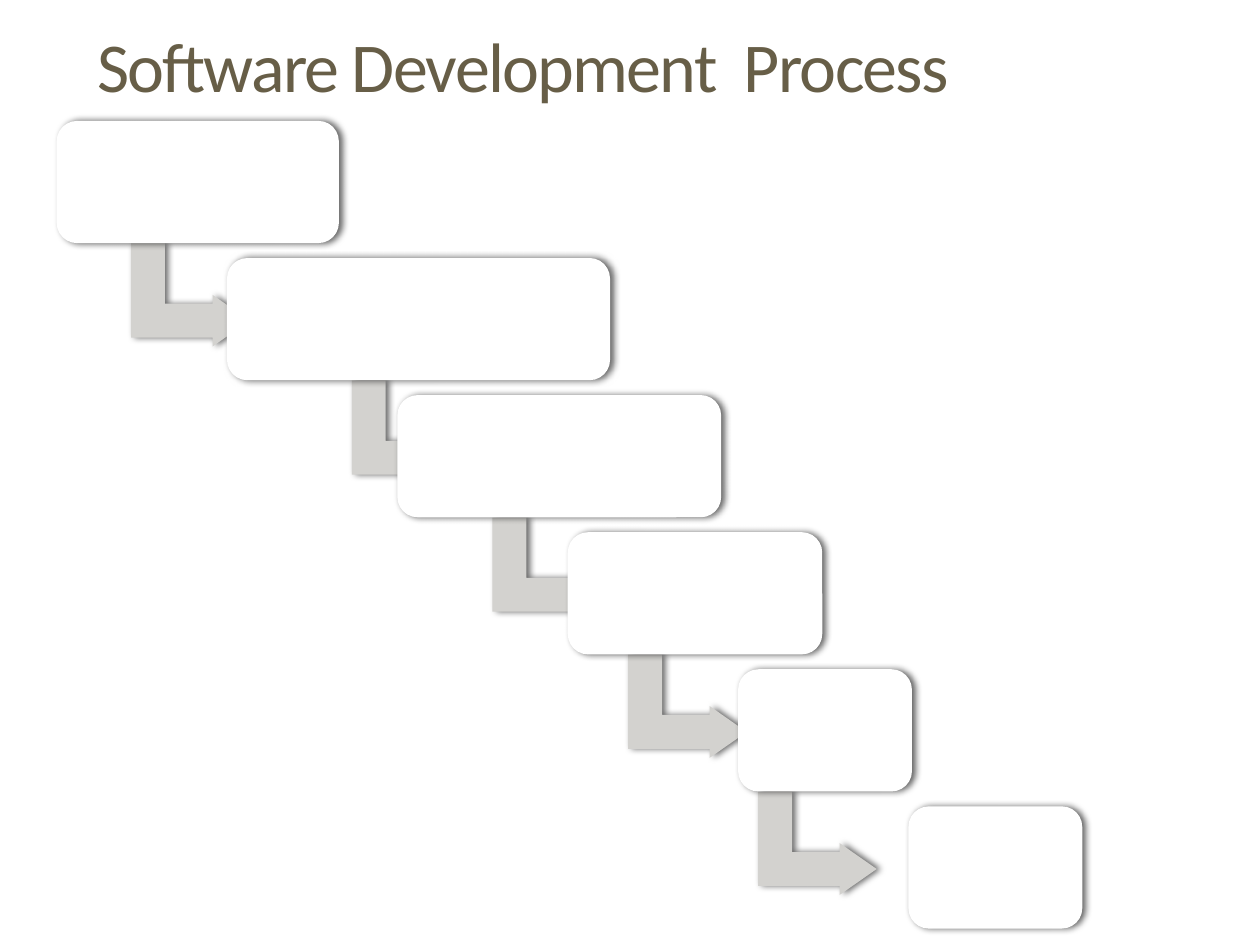
from lxml.etree import SubElement
from pptx import Presentation
from pptx.dml.color import RGBColor
from pptx.enum.shapes import MSO_SHAPE
from pptx.enum.text import MSO_ANCHOR, PP_ALIGN
from pptx.oxml.ns import qn
from pptx.util import Inches, Pt

COLORS = {"title": "675E47", "box": "FFFFFF", "arrow": "D3D2CF", "shadow": "000000"}
STEP_WIDTHS = [2.24, 3.04, 2.57, 2.02, 1.38, 1.38]
STEP_HEIGHT = 0.97
STEP_DX, STEP_DY = 1.352, 1.088
ARROW_W, ARROW_H = 0.82, 0.94


def add_shadow(sp):
    """Give the shape a soft shadow falling to the right."""
    sp.shadow.inherit = False
    effects = sp._element.spPr.find(qn("a:effectLst"))
    shadow = SubElement(effects, qn("a:outerShdw"), blurRad=str(Pt(4)),
                        dist=str(Pt(2)), dir="0", rotWithShape="0")
    color = SubElement(shadow, qn("a:srgbClr"), val=COLORS["shadow"])
    SubElement(color, qn("a:alpha"), val="60000")


def add_block(shapes, kind, left, top, width, height, color, adjustments):
    sp = shapes.add_shape(kind, Inches(left), Inches(top), Inches(width), Inches(height))
    for i, value in enumerate(adjustments):
        sp.adjustments[i] = value
    sp.fill.solid()
    sp.fill.fore_color.rgb = RGBColor.from_string(COLORS[color])
    sp.line.fill.background()
    add_shadow(sp)
    return sp


def add_title(slide, text, left, top, width, height):
    title = slide.shapes.title
    title.left, title.top = Inches(left), Inches(top)
    title.width, title.height = Inches(width), Inches(height)
    tf = title.text_frame
    tf.word_wrap = True
    tf.vertical_anchor = MSO_ANCHOR.MIDDLE
    p = tf.paragraphs[0]
    p.alignment = PP_ALIGN.LEFT
    r = p.add_run()
    r.text = text
    r.font.name = "Calibri"
    r.font.size = Pt(40)
    r.font.color.rgb = RGBColor.from_string(COLORS["title"])
    r._r.get_or_add_rPr().set("spc", "-100")


def add_staircase(slide, left, top):
    """Descending steps, each but the last with a bent arrow to the next."""
    shapes = slide.shapes.add_group_shape().shapes
    for i, width in enumerate(STEP_WIDTHS):
        x, y = left + i * STEP_DX, top + i * STEP_DY
        if i < len(STEP_WIDTHS) - 1:
            arrow = add_block(shapes, MSO_SHAPE.BENT_UP_ARROW, x + width / 2 - 0.47,
                              y + 0.91, ARROW_W, ARROW_H, "arrow", [0.328, 0.25, 0.358])
            arrow.rotation = 90
        add_block(shapes, MSO_SHAPE.ROUNDED_RECTANGLE, x, y, width, STEP_HEIGHT,
                  "box", [0.167])


def main():
    prs = Presentation()
    prs.slide_width, prs.slide_height = Inches(10), Inches(7.5)
    slide = prs.slides.add_slide(prs.slide_layouts[5])
    add_title(slide, "Software Development  Process", 0.67, -0.11, 9.17, 1.25)
    add_staircase(slide, 0.45, 0.96)
    prs.save("out.pptx")


if __name__ == "__main__":
    main()
